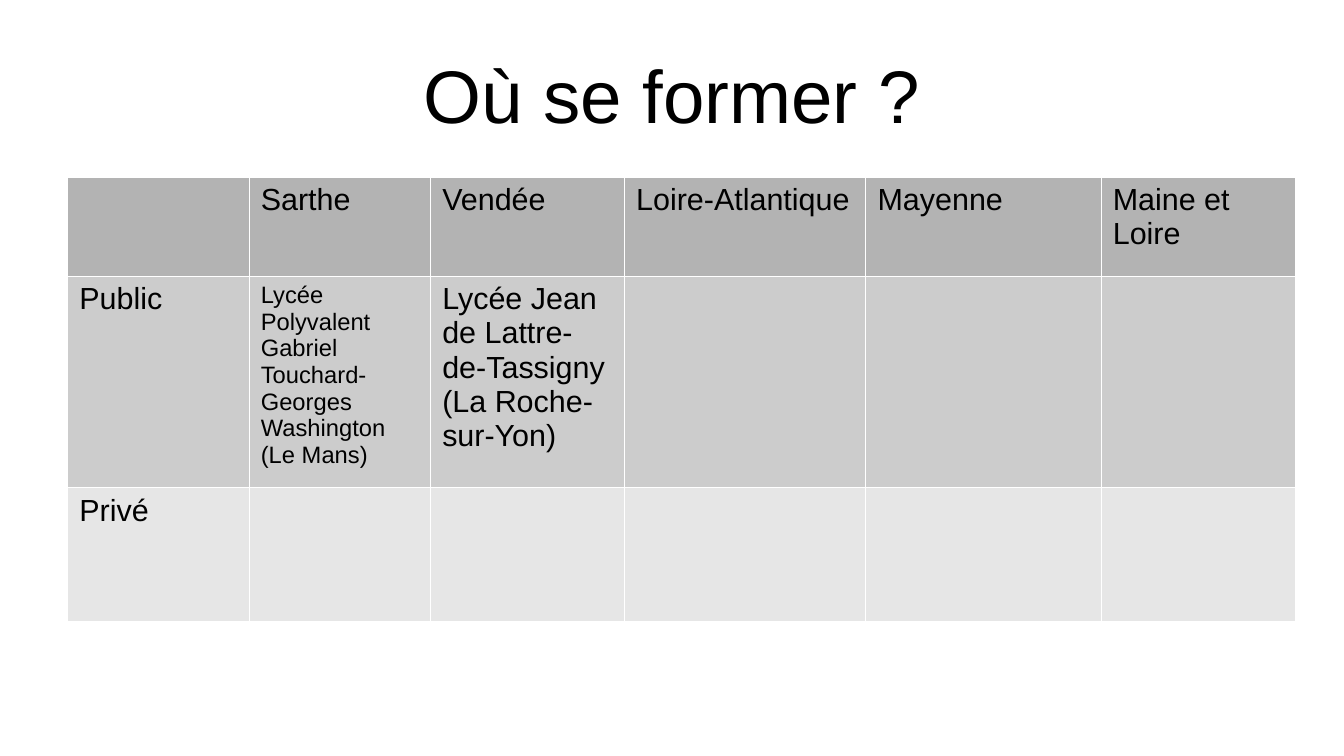
from lxml import etree
from pptx import Presentation
from pptx.dml.color import RGBColor
from pptx.enum.text import MSO_ANCHOR, PP_ALIGN
from pptx.oxml.ns import qn
from pptx.util import Cm, Pt

MIDDLE = MSO_ANCHOR.MIDDLE
CENTER = PP_ALIGN.CENTER

# Content
TITLE = "Où se former\u00a0?"
ROWS = [
    ("", "Sarthe", "Vendée", "Loire-Atlantique", "Mayenne", "Maine et Loire"),
    ("Public",
     "Lycée Polyvalent Gabriel Touchard-Georges Washington (Le Mans)",
     "Lycée Jean de Lattre-de-Tassigny (La Roche-sur-Yon)", "", "", ""),
    ("Privé", "", "", "", "", ""),
]
FILLS = ["B3B3B3", "CCCCCC", "E6E6E6"]
WIDTHS = [3.78, 3.78, 4.04, 5.03, 4.9, 4.06]
HEIGHTS = [2.06, 4.14, 2.79]
SMALL = {(1, 1): 14}
LEFT = 1.4


def color(code):
    return RGBColor.from_string(code)


def write(frame, text, size):
    run = frame.paragraphs[0].add_run()
    run.text = text
    run.font.name = "Arial"
    run.font.size = Pt(size)
    run.font.color.rgb = color("000000")


def border(cell, code, width):
    props = cell._tc.get_or_add_tcPr()
    for side in ("lnL", "lnR", "lnT", "lnB"):
        line = etree.SubElement(props, qn("a:" + side), w=str(Pt(width)))
        fill = etree.SubElement(line, qn("a:solidFill"))
        etree.SubElement(fill, qn("a:srgbClr"), val=code)


def main():
    deck = Presentation()
    deck.slide_width, deck.slide_height = Cm(28), Cm(15.75)
    slide = deck.slides.add_slide(deck.slide_layouts[6])

    # Title
    box = slide.shapes.add_textbox(Cm(LEFT), Cm(0.63), Cm(25.2), Cm(2.63))
    frame = box.text_frame
    frame.word_wrap = True
    frame.vertical_anchor = MIDDLE
    frame.margin_left = frame.margin_right = 0
    frame.margin_top = frame.margin_bottom = 0
    write(frame, TITLE, 44)
    frame.paragraphs[0].alignment = CENTER

    # Table
    table = slide.shapes.add_table(
        len(ROWS), len(WIDTHS), Cm(LEFT), Cm(3.69),
        Cm(sum(WIDTHS)), Cm(sum(HEIGHTS))).table
    table.first_row = table.horz_banding = False
    for col, width in zip(table.columns, WIDTHS):
        col.width = Cm(width)
    for row, height in zip(table.rows, HEIGHTS):
        row.height = Cm(height)

    # Cells
    for r, texts in enumerate(ROWS):
        for c, text in enumerate(texts):
            cell = table.cell(r, c)
            border(cell, "FFFFFF", 0.06)
            cell.fill.solid()
            cell.fill.fore_color.rgb = color(FILLS[r])
            if text:
                write(cell.text_frame, text, SMALL.get((r, c), 18))

    deck.save("out.pptx")


if __name__ == "__main__":
    main()
